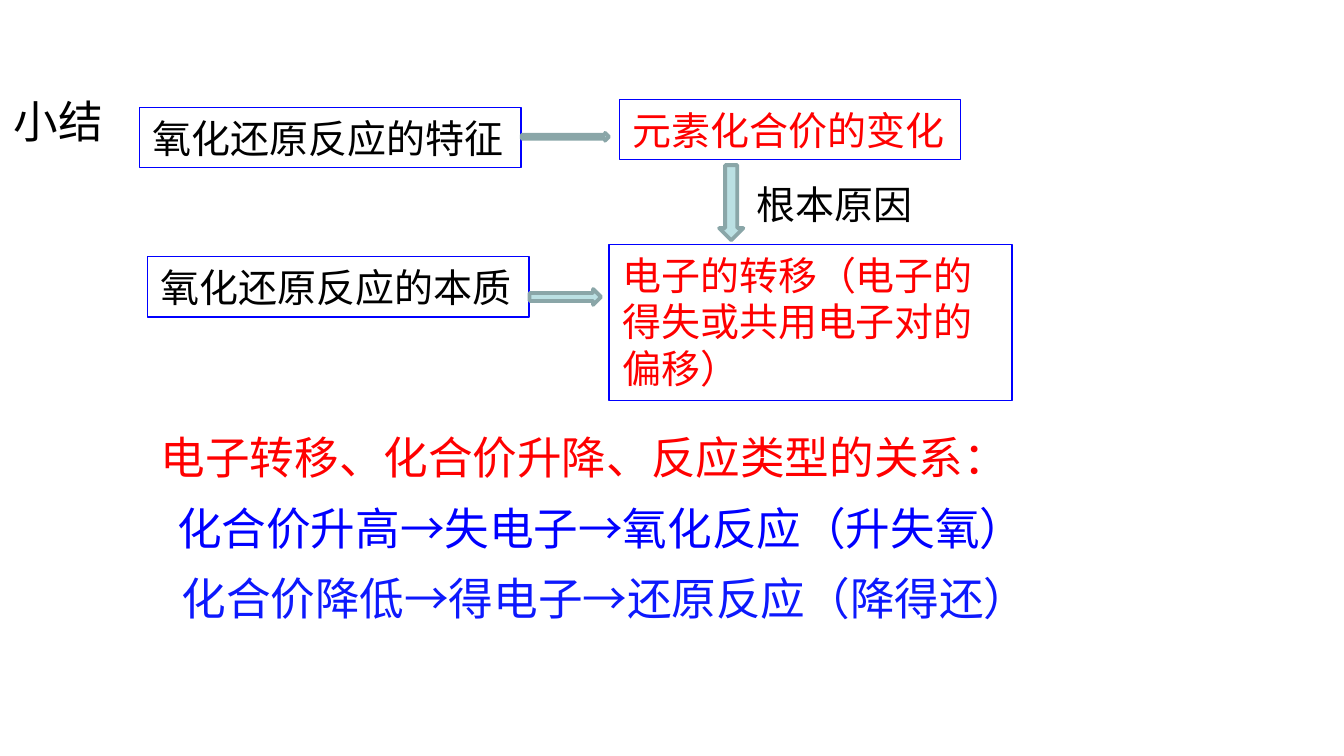
import pptx
import pptx.dml.color
import pptx.enum.shapes
import pptx.enum.text
import pptx.util

Cm = pptx.util.Cm
Pt = pptx.util.Pt
SHAPE = pptx.enum.shapes.MSO_SHAPE

COLORS = {
    "black": "000000",
    "red": "FF0000",
    "blue": "0000FF",
    "bright_blue": "0D19FD",
    "arrow_fill": "BBE0E3",
    "arrow_line": "8AA6A8",
}
HEADING_SIZE = 23.9
LABEL_SIZE = 20.9


def rgb(name):
    """Return the palette colour of that name."""
    return pptx.dml.color.RGBColor.from_string(COLORS[name])


def place(box, left, top, width, height):
    """Turn centimetres relative to a box into slide lengths."""
    return Cm(box[0] + left), Cm(box[1] + top), Cm(width), Cm(height)


def write(shape, text, size, color, wrap=False):
    """Write one left-aligned paragraph at the top of a shape."""
    frame = shape.text_frame
    frame.word_wrap = wrap
    frame.auto_size = pptx.enum.text.MSO_AUTO_SIZE.NONE
    frame.vertical_anchor = pptx.enum.text.MSO_ANCHOR.TOP
    frame.text = text
    paragraph = frame.paragraphs[0]
    paragraph.alignment = pptx.enum.text.PP_ALIGN.LEFT
    paragraph.font.name = "Arial"
    paragraph.font.size = Pt(size)
    paragraph.font.color.rgb = rgb(color)


def add_frame(slide, area, text, color, wrap=False):
    """Add a blue-outlined rectangle holding a statement."""
    frame = slide.shapes.add_shape(SHAPE.RECTANGLE, *area)
    frame.shadow.inherit = False
    frame.fill.background()
    frame.line.color.rgb = rgb("blue")
    frame.line.width = Pt(0.75)
    write(frame, text, LABEL_SIZE, color, wrap)


def add_arrow(slide, kind, area):
    """Add a pale block arrow."""
    arrow = slide.shapes.add_shape(kind, *area)
    arrow.shadow.inherit = False
    arrow.fill.solid()
    arrow.fill.fore_color.rgb = rgb("arrow_fill")
    arrow.line.color.rgb = rgb("arrow_line")
    arrow.line.width = Pt(2)


def add_title(slide, box):
    """Move and format the title placeholder."""
    title = slide.shapes.title
    title.left, title.top, title.width, title.height = map(Cm, box)
    write(title, "小结", HEADING_SIZE, "black", wrap=True)


def add_diagram(slide, box):
    """Link the feature and essence of redox reactions to their meanings."""
    statements = [
        ((0, 0.15, 7.21, 1.14), "氧化还原反应的特征", "black", False),
        ((0.15, 2.97, 7.21, 1.14), "氧化还原反应的本质", "black", False),
        ((9.07, 0, 6.45, 1.14), "元素化合价的变化", "red", False),
        ((8.87, 2.74, 7.62, 2.95), "电子的转移（电子的得失或共用电子对的偏移）", "red", True),
    ]
    for area, text, color, wrap in statements:
        add_frame(slide, place(box, *area), text, color, wrap)

    arrows = [
        (SHAPE.DOWN_ARROW, (10.95, 1.24, 0.46, 1.42)),
        (SHAPE.RIGHT_ARROW, (7.22, 0.63, 1.65, 0.15)),
        (SHAPE.RIGHT_ARROW, (7.37, 3.58, 1.35, 0.3)),
    ]
    for kind, area in arrows:
        add_arrow(slide, kind, place(box, *area))

    cause = slide.shapes.add_textbox(*place(box, 11.41, 1.4, 3.48, 1.14))
    write(cause, "根本原因", LABEL_SIZE, "black")


def add_relations(slide, box):
    """Stack the relation heading and its two rules at an equal pitch."""
    pitch = 1.33
    relations = [
        (0, 17.73, "电子转移、化合价升降、反应类型的关系：", "red"),
        (0.31, 16.66, "化合价升高→失电子→氧化反应（升失氧）", "blue"),
        (0.39, 16.66, "化合价降低→得电子→还原反应（降得还）", "bright_blue"),
    ]
    for row, (indent, width, text, color) in enumerate(relations):
        relation = slide.shapes.add_textbox(*place(box, indent, row * pitch, width, 1.27))
        write(relation, text, HEADING_SIZE, color)


def main():
    """Build and save the summary slide."""
    deck = pptx.Presentation()
    deck.slide_width, deck.slide_height = Cm(25.4), Cm(14.28)
    slide = deck.slides.add_slide(deck.slide_layouts[5])
    add_title(slide, (0, 1.65, 16.59, 1.27))
    add_diagram(slide, (2.64, 1.88, 16.49, 5.69))
    add_relations(slide, (2.79, 8, 17.73, 3.93))
    deck.save("out.pptx")


if __name__ == "__main__":
    main()
